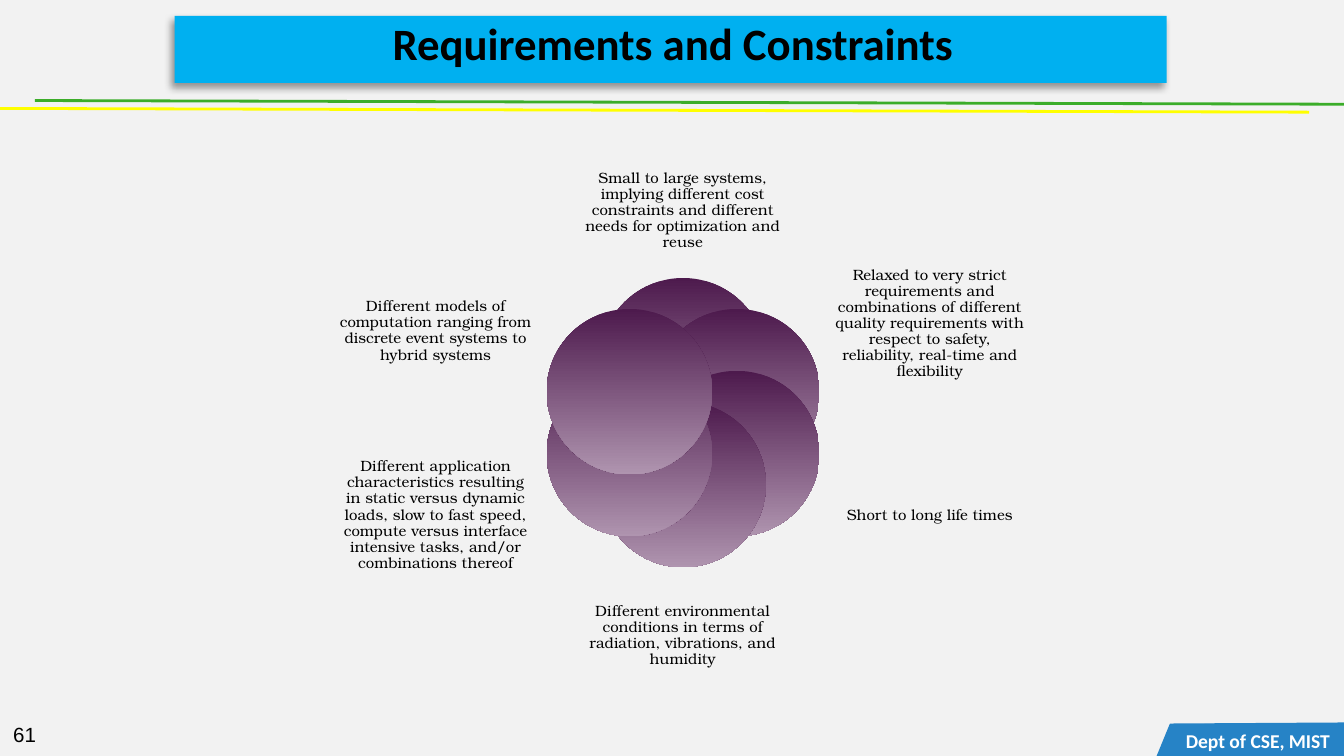
import math

from lxml import etree
from pptx import Presentation, util as u
from pptx.dml.color import RGBColor
from pptx.enum import shapes, text
from pptx.oxml import parse_xml
from pptx.oxml.ns import nsdecls, qn

COLORS = {
    "background": "F2F2F2", "green": "3BAD29", "yellow": "FFFF00",
    "banner": "00B0F0", "tab": "2683C6", "dark": "4D1A4D",
    "light": "AF94AF", "black": "000000", "white": "FFFFFF",
}
RGB = {name: RGBColor.from_string(value) for name, value in COLORS.items()}
MIDDLE = text.MSO_ANCHOR.MIDDLE


def add_label(words, area, inset, anchor, size, font, color="black",
              bold=False, align=text.PP_ALIGN.CENTER, spacing=None):
    """Add a one-paragraph text box; area and inset (x, y) are in cm."""
    box = page.shapes.add_textbox(*map(u.Cm, area))
    frame = box.text_frame
    across, down = map(u.Cm, inset)
    frame_format = {
        "word_wrap": True, "vertical_anchor": anchor,
        "margin_left": across, "margin_right": across,
        "margin_top": down, "margin_bottom": down,
    }
    for name, value in frame_format.items():
        setattr(frame, name, value)
    para = frame.paragraphs[0]
    para.alignment = align
    para.line_spacing = spacing
    span = para.add_run()
    span.text = words
    for name, value in {"size": u.Pt(size), "name": font, "bold": bold}.items():
        setattr(span.font, name, value)
    span.font.color.rgb = RGB[color]


deck = Presentation()
deck.slide_width, deck.slide_height = u.Cm(25.4), u.Cm(14.29)
page = deck.slides.add_slide(deck.slide_layouts[6])
page.background.fill.solid()
page.background.fill.fore_color.rgb = RGB["background"]

# Two rules below the heading
for color, ends in {"green": (0.66, 1.9, 25.4, 1.97),
                    "yellow": (0, 2.05, 24.74, 2.12)}.items():
    rule = page.shapes.add_connector(
        shapes.MSO_CONNECTOR.STRAIGHT, *map(u.Cm, ends))
    rule.line.color.rgb = RGB[color]
    rule.line.width = u.Pt(1.5)
    etree.SubElement(rule._element.spPr, qn("a:effectLst"))

# Footer: page number and department tab
add_label("61", (0, 13.51, 1.35, 0.74), (0.25, 0.13), text.MSO_ANCHOR.TOP,
          11, "Arial", align=text.PP_ALIGN.LEFT)
outline = page.shapes.build_freeform(u.Cm(21.87), u.Cm(14.3))
corners = [(22.12, 13.69), (25.4, 13.67), (25.43, 14.3)]
outline.add_line_segments([(u.Cm(x), u.Cm(y)) for x, y in corners])
tab = outline.convert_to_shape()
tab.shadow.inherit = False
tab.fill.solid()
tab.fill.fore_color.rgb = tab.line.color.rgb = RGB["tab"]
tab.line.width = u.Pt(0.75)
add_label("Dept of CSE, MIST", (22.15, 13.74, 3.25, 0.51), (0.25, 0.25),
          MIDDLE, 10.5, "Calibri", "white", bold=True)

# Heading banner with its drop shadow
banner = page.shapes.add_shape(
    shapes.MSO_SHAPE.RECTANGLE, *map(u.Cm, (3.3, 0.3, 18.75, 1.27)))
banner.fill.solid()
banner.fill.fore_color.rgb = RGB["banner"]
banner.line.fill.background()
banner._element.spPr.append(parse_xml(
    f'<a:effectLst {nsdecls("a")}>'
    f'<a:outerShdw blurRad="{u.Pt(4)}" dist="{u.Pt(3)}" dir="8100000" rotWithShape="0">'
    f'<a:srgbClr val="{COLORS["black"]}"><a:alpha val="40000"/></a:srgbClr>'
    '</a:outerShdw></a:effectLst>'))
add_label("Requirements and Constraints", (3.56, 0.43, 18.31, 0.99),
          (0.18, 0.1), text.MSO_ANCHOR.BOTTOM, 24, "Calibri", bold=True,
          spacing=0.85)

# Overlapping petals, clockwise from the top, each with its label
CENTER_X, CENTER_Y, RING, DIAMETER = 12.91, 7.99, 1.17, 3.13
requirements = [
    ("Small to large systems, implying different cost constraints and "
     "different needs for optimization and reuse", (10.95, 2.92, 3.91, 2.13)),
    ("Relaxed to very strict requirements and combinations of different "
     "quality requirements with respect to safety, reliability, real-time "
     "and flexibility", (15.72, 4.95, 3.71, 2.34)),
    ("Short to long life times", (15.72, 8.43, 3.71, 2.62)),
    ("Different environmental conditions in terms of radiation, vibrations, "
     "and humidity", (10.95, 10.95, 3.91, 2.13)),
    ("Different application characteristics resulting in static versus "
     "dynamic loads, slow to fast speed, compute versus interface intensive "
     "tasks, and/or combinations thereof", (6.38, 8.43, 3.71, 2.62)),
    ("Different models of computation ranging from discrete event systems to "
     "hybrid systems", (6.38, 4.95, 3.71, 2.62)),
]
for index, (words, area) in enumerate(requirements):
    angle = index * math.tau / len(requirements)
    left = CENTER_X + RING * math.sin(angle) - DIAMETER / 2
    top = CENTER_Y - RING * math.cos(angle) - DIAMETER / 2
    petal = page.shapes.add_shape(
        shapes.MSO_SHAPE.OVAL, *map(u.Cm, (left, top, DIAMETER, DIAMETER)))
    petal.shadow.inherit = False
    petal.line.fill.background()
    petal.fill.gradient()
    petal.fill.gradient_angle = 270
    for stop, color in zip(petal.fill.gradient_stops, ("dark", "light")):
        stop.color.rgb = RGB[color]
    add_label(words, area, (0, 0), MIDDLE, 8, "TeX Gyre Bonum", spacing=0.9)

deck.save("out.pptx")
